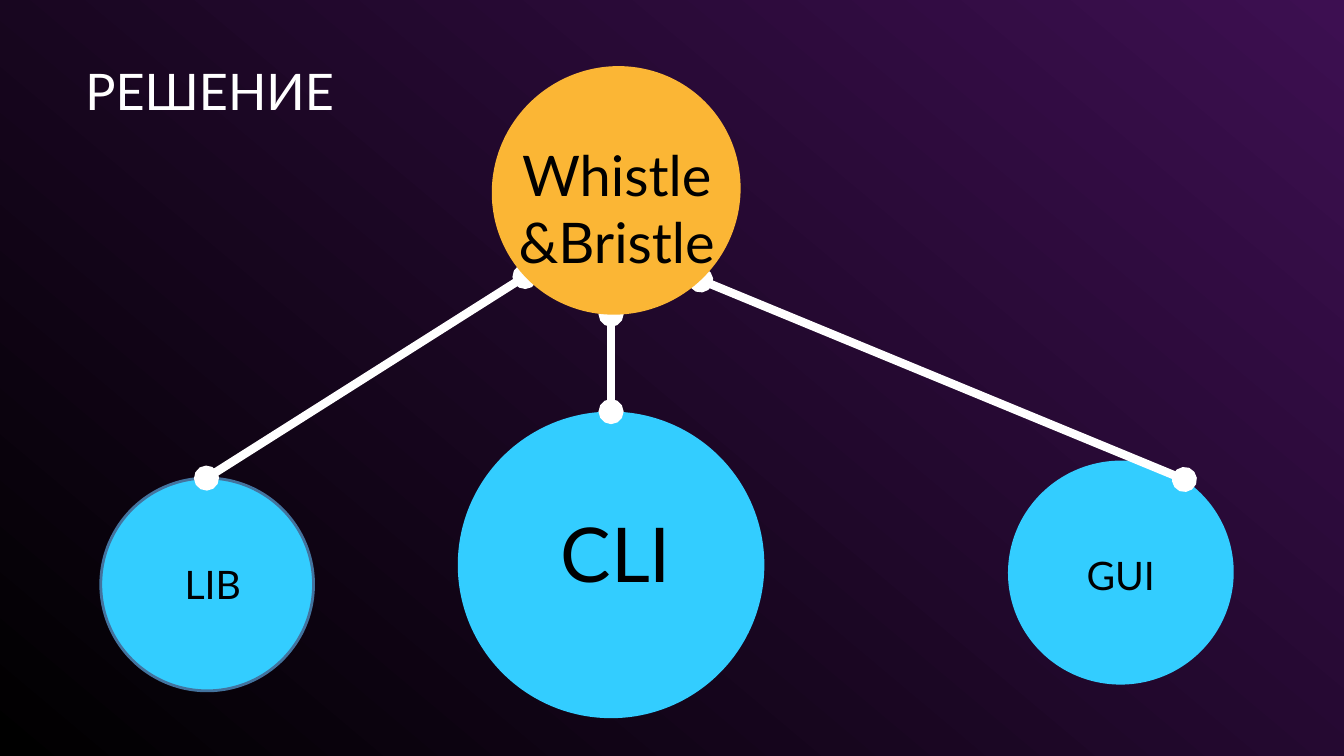
"""Builds the solution slide: one product circle linked to its three parts."""
import pptx
import pptx.dml.color
import pptx.enum.shapes
import pptx.enum.text
import pptx.oxml
import pptx.oxml.ns
import pptx.util

Pt = pptx.util.Pt
RGBColor = pptx.dml.color.RGBColor

BLACK = RGBColor(0x00, 0x00, 0x00)
WHITE = RGBColor(0xFF, 0xFF, 0xFF)
PURPLE = RGBColor(0x3D, 0x0F, 0x51)
CYAN = RGBColor(0x33, 0xCD, 0xFF)
ORANGE = RGBColor(0xFB, 0xB6, 0x35)
STEEL = RGBColor(0x43, 0x73, 0x9E)


class SlideBuilder:
    font_name = "Lato"
    title_size = 36
    link_width = 6

    def __init__(self, slide):
        self.slide = slide

    def background(self, start, end, angle):
        fill = self.slide.background.fill
        fill.gradient()
        fill.gradient_angle = angle
        for stop, position, color in zip(fill.gradient_stops, (0, 1), (start, end)):
            stop.position = position
            stop.color.rgb = color

    def format_paragraph(self, paragraph, size, color, alignment):
        paragraph.alignment = alignment
        paragraph.font.name = self.font_name
        paragraph.font.size = Pt(size)
        paragraph.font.color.rgb = color

    def title(self, text, left, top, width, height):
        shape = self.slide.shapes.title
        shape.left, shape.top = Pt(left), Pt(top)
        shape.width, shape.height = Pt(width), Pt(height)
        frame = shape.text_frame
        frame.text = text
        frame.auto_size = pptx.enum.text.MSO_AUTO_SIZE.NONE
        frame.vertical_anchor = pptx.enum.text.MSO_ANCHOR.MIDDLE
        frame.margin_left = Pt(5)
        frame.margin_right = frame.margin_top = frame.margin_bottom = 0
        paragraph = frame.paragraphs[0]
        paragraph.line_spacing = 0.7
        self.format_paragraph(paragraph, self.title_size, WHITE,
                              pptx.enum.text.PP_ALIGN.LEFT)

    def circle(self, left, top, width, height, color, rotation=0, outline=None):
        shape = self.slide.shapes.add_shape(
            pptx.enum.shapes.MSO_SHAPE.OVAL,
            Pt(left), Pt(top), Pt(width), Pt(height))
        shape.rotation = rotation
        shape.shadow.inherit = False
        shape.fill.solid()
        shape.fill.fore_color.rgb = color
        if outline is None:
            shape.line.fill.background()
        else:
            shape.line.color.rgb = outline
            shape.line.width = Pt(2)

    def label(self, text, left, top, width, height, size):
        shape = self.slide.shapes.add_textbox(
            Pt(left), Pt(top), Pt(width), Pt(height))
        frame = shape.text_frame
        frame.word_wrap = True
        frame.auto_size = pptx.enum.text.MSO_AUTO_SIZE.SHAPE_TO_FIT_TEXT
        frame.text = text
        self.format_paragraph(frame.paragraphs[0], size, BLACK,
                              pptx.enum.text.PP_ALIGN.CENTER)

    def link(self, start_x, start_y, end_x, end_y):
        connector = self.slide.shapes.add_connector(
            pptx.enum.shapes.MSO_CONNECTOR.STRAIGHT,
            Pt(start_x), Pt(start_y), Pt(end_x), Pt(end_y))
        connector.line.color.rgb = WHITE
        connector.line.width = Pt(self.link_width)
        line = connector.line._get_or_add_ln()
        for end in ("headEnd", "tailEnd"):
            element = pptx.oxml.parse_xml(
                f'<a:{end} {pptx.oxml.ns.nsdecls("a")} type="oval"/>')
            line.append(element)
        connector._element.spPr.append(pptx.oxml.parse_xml(
            f'<a:effectLst {pptx.oxml.ns.nsdecls("a")}/>'))


def main():
    presentation = pptx.Presentation()
    presentation.slide_width = Pt(960)
    presentation.slide_height = Pt(540)
    slide = presentation.slides.add_slide(presentation.slide_layouts[5])

    builder = SlideBuilder(slide)
    builder.background(BLACK, PURPLE, 50)
    builder.title("РЕШЕНИЕ", 56, 56, 817, 28)

    builder.circle(720, 329, 161.3, 160, CYAN, rotation=348.9)
    builder.circle(327, 294, 219, 219, CYAN)
    builder.label("CLI", 329, 358.5, 222, 72, 54)
    builder.link(436.5, 224.5, 436.5, 294)
    builder.link(846, 342.5, 500.5, 200)
    builder.label("GUI", 717, 390, 167, 41, 28)

    builder.circle(72, 341.5, 152, 152, CYAN, outline=STEEL)
    builder.link(375, 197.5, 147.5, 341.5)
    builder.label("LIB", 78, 396.5, 148, 41, 28)

    builder.circle(350.5, 48, 179.3, 176, ORANGE, rotation=316.8)
    builder.label("Whistle&Bristle", 353.5, 97, 174, 103, 40)

    presentation.save("out.pptx")


if __name__ == "__main__":
    main()
